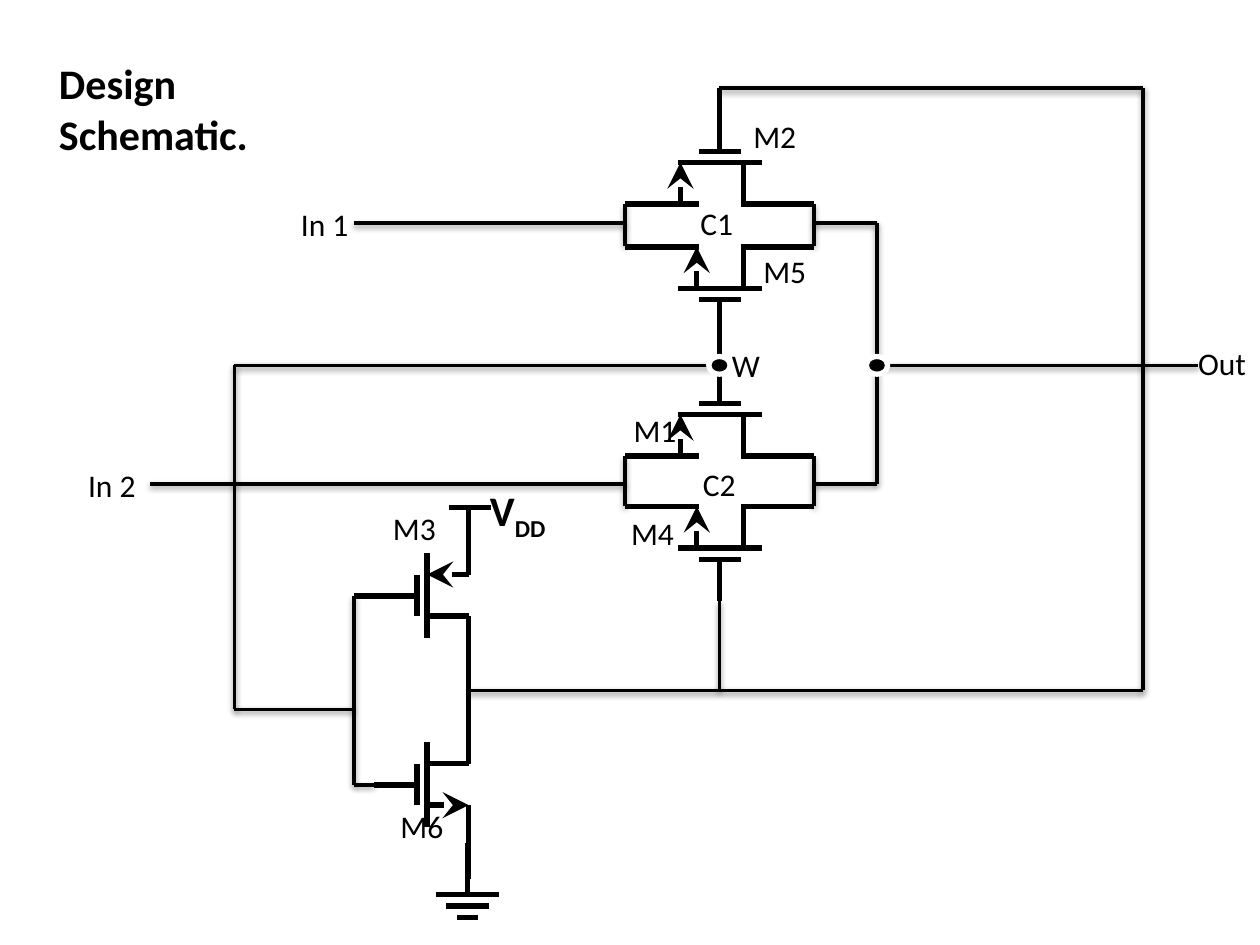
from lxml import etree
from pptx import Presentation, util as u
from pptx.dml.color import RGBColor
from pptx.enum import shapes, text
from pptx.oxml.ns import qn

COLUMNS, ROWS = 10, 7.5


def rgb(value):
    return RGBColor.from_string(value)


def write(p, content, size=18, bold=False, color="000000", font="Calibri", baseline=None):
    r = p.add_run()
    r.text = content
    r.font.size, r.font.bold, r.font.name = u.Pt(size), bold, font
    r.font.color.rgb = rgb(color)
    if baseline is not None:
        r.font._element.set("baseline", str(baseline))
    return r


class Schematic:
    """Draws circuit elements on a slide grid of 10 columns by 7.5 rows."""

    ink, paper = "000000", "FFFFFF"
    thick, thin = 3, 2
    lead, gap = 0.33, 0.09

    def __init__(self, prs):
        self.s = prs.slides.add_slide(prs.slide_layouts[6])
        self.cell = prs.slide_width / COLUMNS

    def grid(self, *values):
        return [u.Emu(round(v * self.cell)) for v in values]

    def line(self, x1, y1, x2, y2, width=thick, arrow=False, shadow=False):
        sp = self.s.shapes.add_connector(
            shapes.MSO_CONNECTOR.STRAIGHT, *self.grid(x1, y1, x2, y2))
        sp.line.width = u.Pt(width)
        sp.line.color.rgb = rgb(self.ink)
        props = sp._element.spPr
        if arrow:
            etree.SubElement(props.find(qn("a:ln")), qn("a:tailEnd"),
                             type="stealth", w="lg", len="lg")
        effects = etree.SubElement(props, qn("a:effectLst"))
        if shadow:
            outer = etree.SubElement(effects, qn("a:outerShdw"), blurRad="40000",
                                     dist="20000", dir="5400000", rotWithShape="0")
            color = etree.SubElement(outer, qn("a:srgbClr"), val=self.ink)
            etree.SubElement(color, qn("a:alpha"), val="38000")

    def wire(self, *points):
        for start, end in zip(points, points[1:]):
            self.line(*start, *end, width=self.thin, shadow=True)

    def label(self, content, x, y, w=0.55, h=0.4, wrap=False, sub=None, **style):
        tf = self.s.shapes.add_textbox(*self.grid(x, y, w, h)).text_frame
        tf.word_wrap = wrap
        tf.auto_size = text.MSO_AUTO_SIZE.SHAPE_TO_FIT_TEXT
        p = tf.paragraphs[0]
        write(p, content, **style)
        if sub:
            write(p, sub, baseline=-25000, **style)

    def junction(self, x, y, w=0.17, h=0.14):
        sp = self.s.shapes.add_shape(
            shapes.MSO_SHAPE.OVAL, *self.grid(x - w / 2, y - h / 2, w, h))
        sp.shadow.inherit = False
        sp.fill.solid()
        sp.fill.fore_color.rgb = rgb(self.ink)
        sp.line.color.rgb = rgb(self.paper)
        sp.line.width = u.Pt(self.thick)

    def pass_transistor(self, channel, side, gate, source):
        arm, plate = channel + side * self.lead, channel - side * self.gap
        self.line(5.38, channel, 6.05, channel)
        self.line(5.55, plate, 5.88, plate)
        self.line(5.71, plate - side * gate, 5.71, plate)
        self.line(5.9, channel, 5.9, arm)
        self.line(4.96, arm, 5.55, arm)
        self.line(5.88, arm, 6.46, arm)
        self.line(source, max(channel, arm), source, min(channel, arm), arrow=True)

    def inverter_transistor(self, top, gate_from, rail_from, rail_to, p_type):
        upper, lower = top + 0.17, top + 0.5
        channel, plate, rail = 3.39, 3.31, 3.72
        self.line(channel, top, channel, top + 0.67)
        self.line(plate, upper, plate, lower)
        self.line(gate_from, top + 0.34, plate, top + 0.34)
        self.line(rail, upper, channel, upper, arrow=p_type)
        self.line(channel, lower, rail, lower, arrow=not p_type)
        self.line(rail, rail_from, rail, upper)
        self.line(rail, lower, rail, rail_to)


prs = Presentation()
prs.slide_width, prs.slide_height = u.Inches(COLUMNS), u.Inches(ROWS)
d = Schematic(prs)

for channel, side, gate, source in [
    (1.29, 1, 0.5, 5.4), (3.29, 1, 0.5, 5.4),
    (2.29, -1, 0.33, 5.53), (4.35, -1, 0.33, 5.53),
]:
    d.pass_transistor(channel, side, gate, source)
output = 5.48
d.inverter_transistor(4.39, 2.81, 4.03, output, p_type=True)
d.inverter_transistor(5.89, 2.97, output, 6.98, p_type=False)

d.line(3.56, 4.03, 3.9, 4.03)
d.line(3.71, 6.69, 3.71, 7.1)
for step, half in enumerate([0.25, 0.17, 0.08]):
    y = 7.1 + step * d.gap
    d.line(3.71 - half, y, 3.71 + half, y)

for points in [
    [(5.71, 0.7), (9.07, 0.7), (9.07, output), (3.72, output)],
    [(6.46, 1.77), (6.96, 1.77), (6.96, 3.84), (6.46, 3.84)],
    [(6.96, 2.9), (9.51, 2.9)],
    [(5.71, 4.77), (5.71, output)],
    [(4.96, 1.77), (2.81, 1.77)],
    [(4.96, 3.84), (1.19, 3.84)],
    [(2.81, 4.73), (2.81, 6.23), (2.97, 6.23)],
    [(5.71, 2.9), (1.86, 2.9), (1.86, 5.63), (2.81, 5.63)],
]:
    d.wire(*points)
for x in (4.96, 6.46):
    d.wire((x, 1.62), (x, 1.95))
    d.wire((x, 3.62), (x, 4.02))
for x in (5.71, 6.96):
    d.junction(x, 2.9)

d.label("Design Schematic.", 0.37, 0.41, 2.6, 0.91, wrap=True, size=24, bold=True)
d.label("V", 3.79, 3.8, 0.74, 0.5, sub="DD", size=24, bold=True)
for content, x, y, w in [
    ("C1", 5.46, 1.57, 0.46), ("C2", 5.48, 3.64, 0.46), ("W", 5.71, 2.7, 0.43),
    ("Out", 9.41, 2.68, 0.59), ("In 1", 2.29, 1.58, 0.58), ("In 2", 0.6, 3.65, 0.58),
    ("M1", 4.93, 3.21, 0.55), ("M2", 5.88, 0.88, 0.55), ("M3", 3.02, 3.99, 0.55),
    ("M4", 4.91, 4.03, 0.55), ("M5", 5.96, 1.95, 0.55), ("M6", 3.08, 6.36, 0.55),
]:
    d.label(content, x, y, w)

prs.save("out.pptx")
